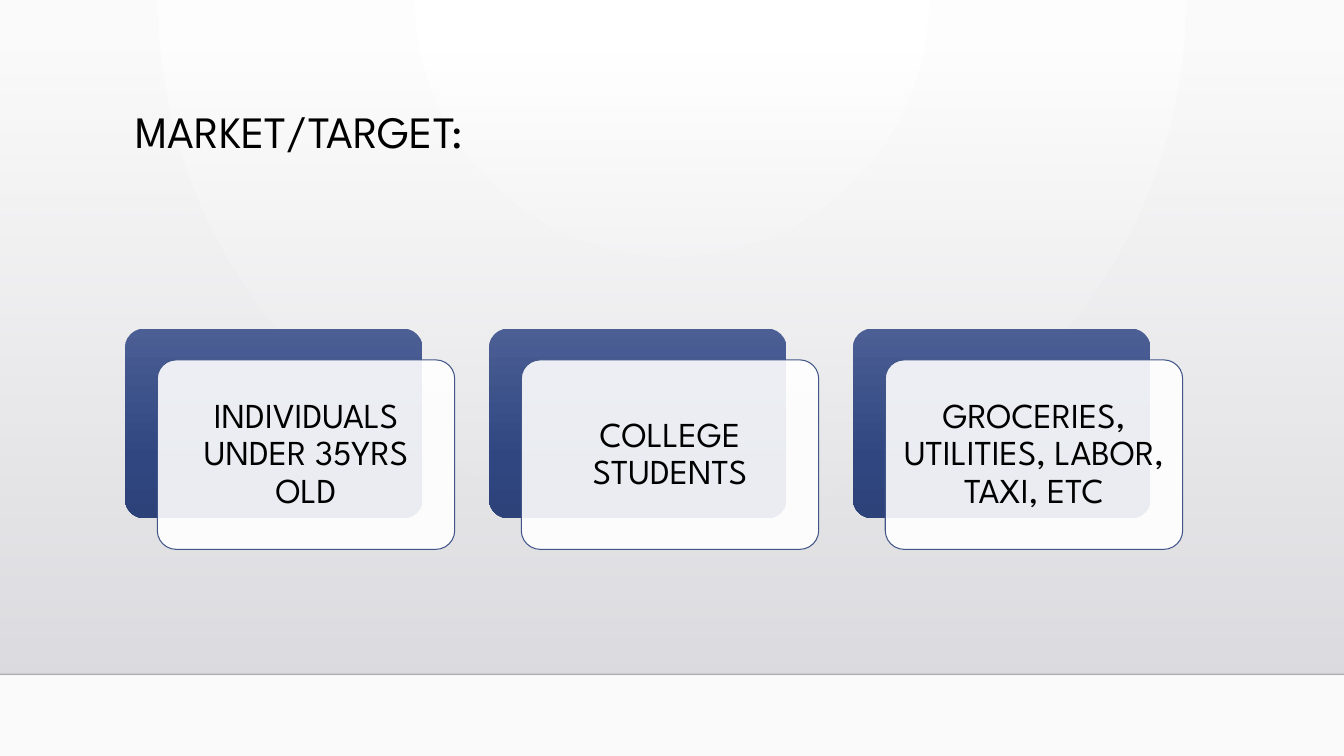
from dataclasses import dataclass

from pptx import Presentation
from pptx.dml.color import RGBColor
from pptx.enum.shapes import MSO_CONNECTOR as Connector, MSO_SHAPE as Preset
from pptx.enum.text import MSO_ANCHOR as Anchor, MSO_AUTO_SIZE as AutoSize, PP_ALIGN as Align
from pptx.oxml import parse_xml
from pptx.oxml.ns import nsdecls, qn
from pptx.util import Inches, Pt


@dataclass(frozen=True)
class Theme:
    font: str = "League Spartan"
    title_size: float = 32
    card_size: float = 25
    line_spacing: float = 0.9
    ink: str = "000000"
    card: str = "FFFFFF"
    outline: str = "415588"
    divider: str = "000001"
    # Gradient stops: position %, colour, opacity %
    backdrop: tuple = ((0, "FFFFFF", 100), (100, "FAFAFA", 100))
    floor: tuple = ((0, "DCDCE0", 0), (100, "DEDEE2", 100))
    back_plate: tuple = ((0, "4C5F95", 100), (69, "2F4680", 100), (100, "2D4279", 100))


THEME = Theme()
WIDTH, HEIGHT = 13.33, 7.5
MARGIN = 1.24
FLOOR_TOP, FLOOR_BOTTOM = 0.51, 6.69
CARD_TOP, CARD_WIDTH, CARD_HEIGHT = 3.26, 2.95, 1.88
CARD_PITCH = 3.61
CARD_SHIFT = (0.32, 0.31)
CARDS = (
    "INDIVIDUALS UNDER 35YRS OLD",
    "COLLEGE STUDENTS",
    "GROCERIES, UTILITIES, LABOR, TAXI, ETC",
)
DOWNWARD = '<a:lin ang="5400000" scaled="0"/>'
FROM_TOP_CENTRE = ('<a:path path="circle">'
                   '<a:fillToRect l="43000" t="0" r="43000" b="100000"/></a:path>')


def apply_gradient(properties, stops, direction):
    """Replace the solid fill among the properties with a gradient."""
    stop_xml = "".join(
        f'<a:gs pos="{position * 1000}"><a:srgbClr val="{color}">'
        f'<a:alpha val="{opacity * 1000}"/></a:srgbClr></a:gs>'
        for position, color, opacity in stops)
    gradient = parse_xml(f'<a:gradFill {nsdecls("a")} rotWithShape="1">'
                         f'<a:gsLst>{stop_xml}</a:gsLst>{direction}</a:gradFill>')
    solid = properties.find(qn("a:solidFill"))
    properties.replace(solid, gradient)


def set_opacity(properties, percent):
    color = properties.find(qn("a:solidFill")).find(qn("a:srgbClr"))
    color.append(parse_xml(f'<a:alpha {nsdecls("a")} val="{percent * 1000}"/>'))


def add_block(shapes, preset, left, top, width, height):
    """Add a borderless preset shape with a plain fill."""
    shape = shapes.add_shape(preset, Inches(left), Inches(top), Inches(width), Inches(height))
    shape.shadow.inherit = False
    shape.fill.solid()
    shape.fill.fore_color.rgb = RGBColor.from_string(THEME.card)
    shape.line.fill.background()
    if preset == Preset.ROUNDED_RECTANGLE:
        shape.adjustments[0] = 0.1
    return shape


def write_text(shape, text, size, align, anchor):
    frame = shape.text_frame
    frame.text = text
    frame.word_wrap = True
    frame.auto_size = AutoSize.NONE
    frame.vertical_anchor = anchor
    paragraph = frame.paragraphs[0]
    paragraph.alignment = align
    paragraph.line_spacing = THEME.line_spacing
    font = paragraph.runs[0].font
    font.name, font.size = THEME.font, Pt(size)
    font.color.rgb = RGBColor.from_string(THEME.ink)
    return frame


def add_backdrop(slide):
    background = slide.background
    background.fill.solid()
    background.fill.fore_color.rgb = RGBColor.from_string(THEME.card)
    properties = slide.element.find(".//" + qn("p:bgPr"))
    apply_gradient(properties, THEME.backdrop, FROM_TOP_CENTRE)

    # Shaded wall and the line where it meets the floor
    wall = add_block(slide.shapes, Preset.RECTANGLE, 0, FLOOR_TOP, WIDTH, FLOOR_BOTTOM - FLOOR_TOP)
    apply_gradient(wall.element.spPr, THEME.floor, DOWNWARD)
    divider = slide.shapes.add_connector(
        Connector.STRAIGHT, 0, Inches(FLOOR_BOTTOM), Inches(WIDTH), Inches(FLOOR_BOTTOM))
    divider.line.width = Pt(1)
    divider.line.color.rgb = RGBColor.from_string(THEME.divider)
    properties = divider.element.spPr
    set_opacity(properties.find(qn("a:ln")), 20)
    properties.append(parse_xml(f'<a:effectLst {nsdecls("a")}/>'))


def add_title(slide, text):
    title = slide.shapes.title
    title.left, title.top = Inches(MARGIN), Inches(1.04)
    title.width, title.height = Inches(10.5), Inches(1.15)
    write_text(title, text, THEME.title_size, Align.LEFT, Anchor.TOP)
    # Bring the title in front of the backdrop
    slide.shapes.element.append(title.element)


def add_card(shapes, left, text):
    plate = add_block(shapes, Preset.ROUNDED_RECTANGLE, left, CARD_TOP, CARD_WIDTH, CARD_HEIGHT)
    apply_gradient(plate.element.spPr, THEME.back_plate, DOWNWARD)

    shift_x, shift_y = CARD_SHIFT
    card = add_block(shapes, Preset.ROUNDED_RECTANGLE, left + shift_x, CARD_TOP + shift_y,
                     CARD_WIDTH, CARD_HEIGHT)
    set_opacity(card.element.spPr, 90)
    card.line.color.rgb = RGBColor.from_string(THEME.outline)
    card.line.width = Pt(0.75)
    frame = write_text(card, text, THEME.card_size, Align.CENTER, Anchor.MIDDLE)
    frame.margin_left = frame.margin_right = Inches(0.1)
    frame.margin_top = frame.margin_bottom = Inches(0.1)


def main():
    presentation = Presentation()
    presentation.slide_width, presentation.slide_height = Inches(WIDTH), Inches(HEIGHT)
    slide = presentation.slides.add_slide(presentation.slide_layouts.get_by_name("Title Only"))
    add_backdrop(slide)
    add_title(slide, "MARKET/TARGET:")

    # Row of audience cards
    row = slide.shapes.add_group_shape()
    for column, text in enumerate(CARDS):
        add_card(row.shapes, MARGIN + column * CARD_PITCH, text)
    presentation.save("out.pptx")


if __name__ == "__main__":
    main()
